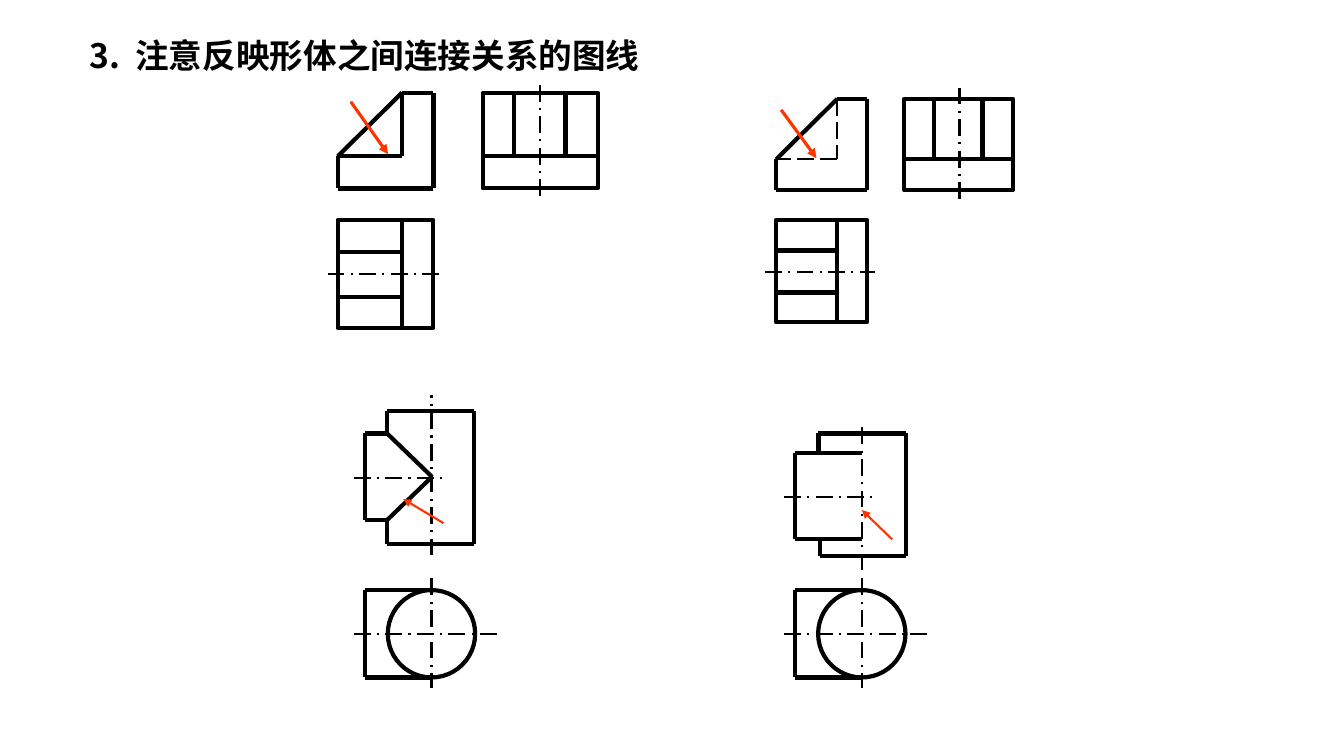
from itertools import pairwise

from lxml import etree
from pptx import Presentation
from pptx.dml.color import RGBColor
from pptx.enum import dml, shapes, text
from pptx.oxml import ns
from pptx.util import Pt

BLACK = RGBColor(0x00, 0x00, 0x00)
RED = RGBColor(0xFF, 0x33, 0x00)
FONT = "Noto Sans CJK SC"
AXIS = dml.MSO_LINE.LONG_DASH_DOT
HIDDEN = dml.MSO_LINE.LONG_DASH


class Drawing:
    """Holds the slide and its line style; all lengths are in points."""

    thick, thin = 3, 1.5

    def __init__(self, slide):
        self.slide = slide

    def title(self, words, left, top, width, height, tab):
        box = self.slide.shapes.title
        box.left, box.top, box.width, box.height = map(Pt, (left, top, width, height))
        frame = box.text_frame
        frame.word_wrap = True
        frame.vertical_anchor = text.MSO_ANCHOR.MIDDLE
        frame.text = words
        heading = frame.paragraphs[0]
        heading.alignment = text.PP_ALIGN.LEFT
        heading.line_spacing = 1.0
        properties = heading._p.get_or_add_pPr()
        stops = etree.SubElement(properties, ns.qn("a:tabLst"))
        etree.SubElement(stops, ns.qn("a:tab"), pos=str(Pt(tab)), algn="l")
        font = heading.font
        font.name, font.size, font.bold = FONT, Pt(24), True
        font.color.rgb = BLACK
        defaults = properties.find(ns.qn("a:defRPr"))
        etree.SubElement(defaults, ns.qn("a:ea"), typeface=FONT)

    def line(self, start, end, width=thick, color=BLACK, dash=None, arrow=False):
        edge = self.slide.shapes.add_connector(
            shapes.MSO_CONNECTOR.STRAIGHT, *map(Pt, (*start, *end)))
        edge.line.color.rgb = color
        edge.line.width = Pt(width)
        if dash:
            edge.line.dash_style = dash
        if arrow:
            etree.SubElement(edge.line._get_or_add_ln(), ns.qn("a:tailEnd"), type="triangle")
        etree.SubElement(edge._element.spPr, ns.qn("a:effectLst"))

    def chain(self, *points, **style):
        for start, end in pairwise(points):
            self.line(start, end, **style)

    def axis(self, start, end):
        self.line(start, end, width=self.thin, dash=AXIS)

    def arrow(self, start, end, width):
        self.line(start, end, width=width, color=RED, arrow=True)

    def outline(self, kind, left, top, width, height):
        shape = self.slide.shapes.add_shape(kind, *map(Pt, (left, top, width, height)))
        shape.shadow.inherit = False
        shape.fill.background()
        shape.line.color.rgb = BLACK
        shape.line.width = Pt(self.thick)


def bracket(drawing, left, top, side_left, scale, **inner_style):
    """Front, side and top views of a ribbed bracket."""
    size, step, rise = 68.4 * scale, 46 * scale, 45.5 * scale
    right, bottom = left + size, top + size
    wall, ledge = left + step, top + rise

    # Front view
    drawing.chain((wall, top), (right, top), (right, bottom), (left, bottom), (left, ledge))
    drawing.line((wall, top), (left, ledge))
    drawing.chain((wall, top), (wall, ledge), (left, ledge), **inner_style)

    # Side view
    side_width = 82 * scale
    drawing.outline(shapes.MSO_SHAPE.RECTANGLE, side_left, top, side_width, size)
    drawing.line((side_left, ledge), (side_left + side_width, ledge))
    for offset in (22.5, 59):
        rib = side_left + offset * scale
        drawing.line((rib, top), (rib, ledge))

    # Top view
    plan_top, plan_height = top + 91 * scale, 77 * scale
    drawing.outline(shapes.MSO_SHAPE.RECTANGLE, left, plan_top, size, plan_height)
    for offset in (23, 54.7):
        rib = plan_top + offset * scale
        drawing.line((left, rib), (wall, rib))
    drawing.line((wall, plan_top), (wall, plan_top + plan_height))


def cylinder_plan(drawing, x, y=452.7, radius=31.2):
    """Top view of a cylinder with a side arm."""
    arm = x - 47.5
    drawing.axis((x - 55.5, y), (x + 47.5, y))
    drawing.axis((x, y - 39.5), (x, y + 39))
    drawing.outline(shapes.MSO_SHAPE.OVAL, x - radius, y - radius, 2 * radius, 2 * radius)
    drawing.chain((x, y - radius), (arm, y - radius), (arm, y + radius), (x, y + radius))


def main():
    deck = Presentation()
    deck.slide_width, deck.slide_height = Pt(960), Pt(540)
    drawing = Drawing(deck.slides.add_slide(deck.slide_layouts[5]))
    drawing.title("3.\t注意反映形体之间连接关系的图线", 57, 18, 562, 42, tab=32.5)

    # Bracket with a narrow rib: visible junction edges
    drawing.axis((234, 195.8), (316.8, 195.8))
    drawing.axis((386, 60.5), (386, 140.4))
    bracket(drawing, 241.2, 66.2, 344.9, 1)
    drawing.arrow((250.6, 72.7), (277.2, 110.2), 2.25)

    # Bracket with two ribs: hidden junction edges
    drawing.axis((546.5, 194.4), (625, 194.4))
    drawing.axis((685.4, 62.6), (685.4, 142.6))
    bracket(drawing, 554.4, 70.6, 645.8, 0.95, width=drawing.thin, dash=HIDDEN)
    drawing.arrow((558, 78.5), (583.2, 113), 2.25)

    # Cylinder with a round arm: intersection line
    drawing.axis((308.2, 396.7), (308.2, 282.2))
    drawing.axis((252.7, 341.3), (317.5, 341.3))
    drawing.chain((276.5, 309.6), (260.6, 309.6), (260.6, 371.5), (276.5, 371.5),
                  (308.6, 340.6), (276.5, 309.6))
    drawing.chain((276.5, 309.6), (276.5, 293.8), (338.6, 293.8), (338.6, 388.8),
                  (276.5, 388.8), (276.5, 371.5))
    cylinder_plan(drawing, 308.2)
    drawing.arrow((316.8, 373.7), (288, 356.4), 1.5)

    # Cylinder with a tangent square arm: no junction line
    drawing.axis((615.6, 407.5), (615.6, 301.7))
    drawing.axis((560.2, 355), (622.8, 355))
    drawing.chain((615.6, 323.3), (568, 323.3), (568, 385.2), (615.6, 385.2))
    drawing.chain((584.6, 323.3), (584.6, 309.6), (647.3, 309.6), (647.3, 397),
                  (586, 397), (586, 385.2))
    cylinder_plan(drawing, 615.6)
    drawing.arrow((637.2, 385.2), (615.6, 364.3), 1.5)

    deck.save("out.pptx")


if __name__ == "__main__":
    main()
